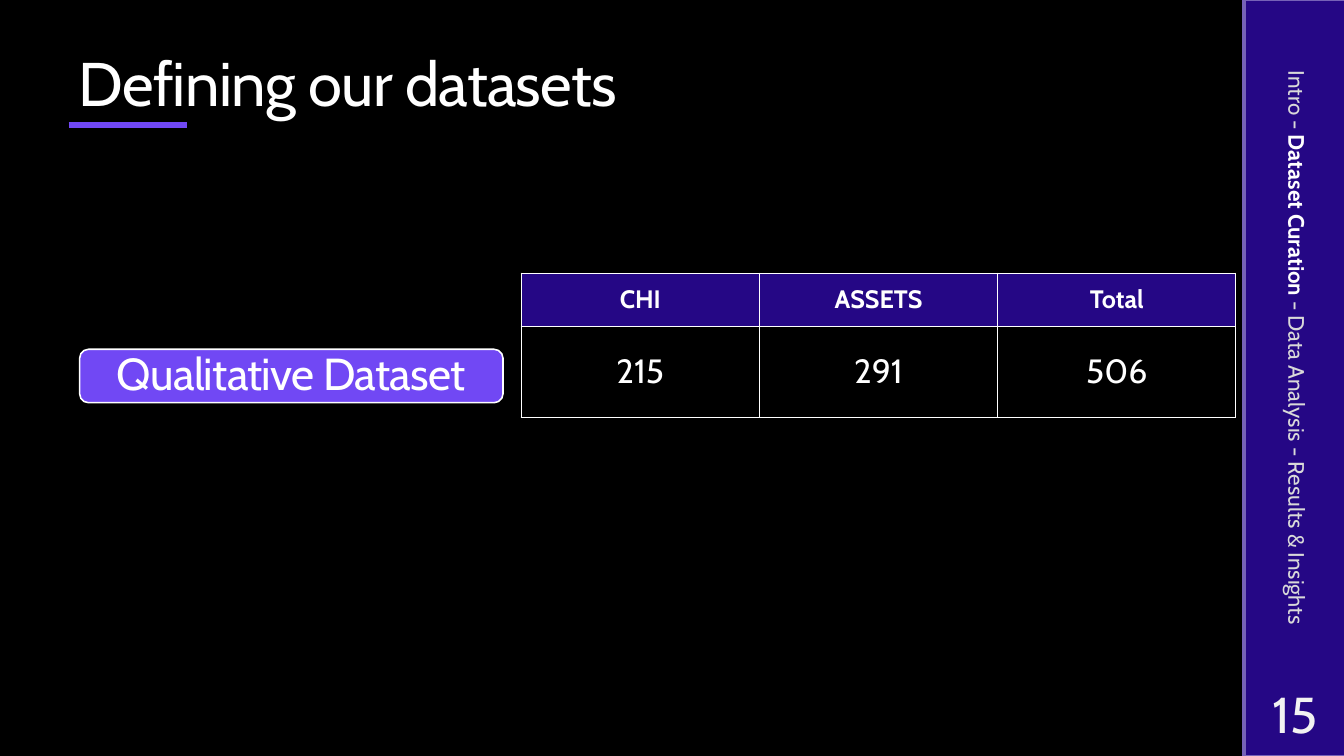
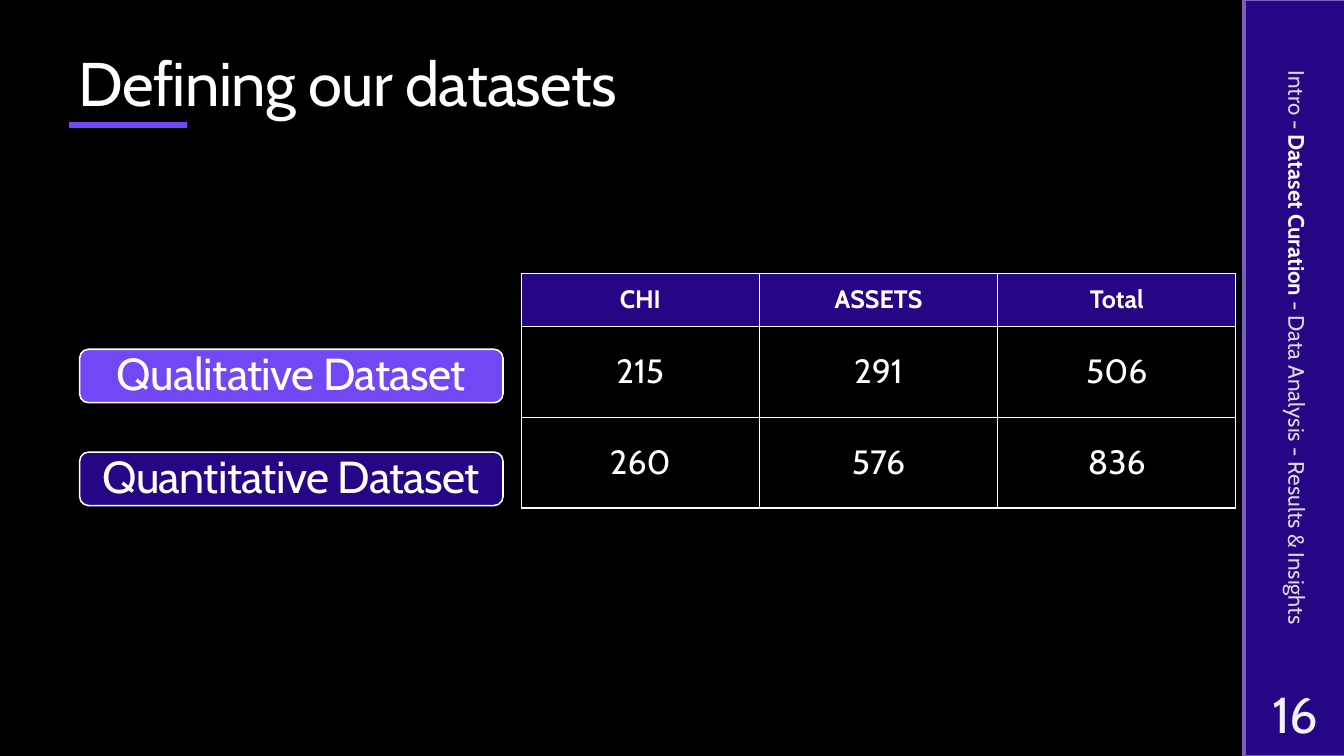
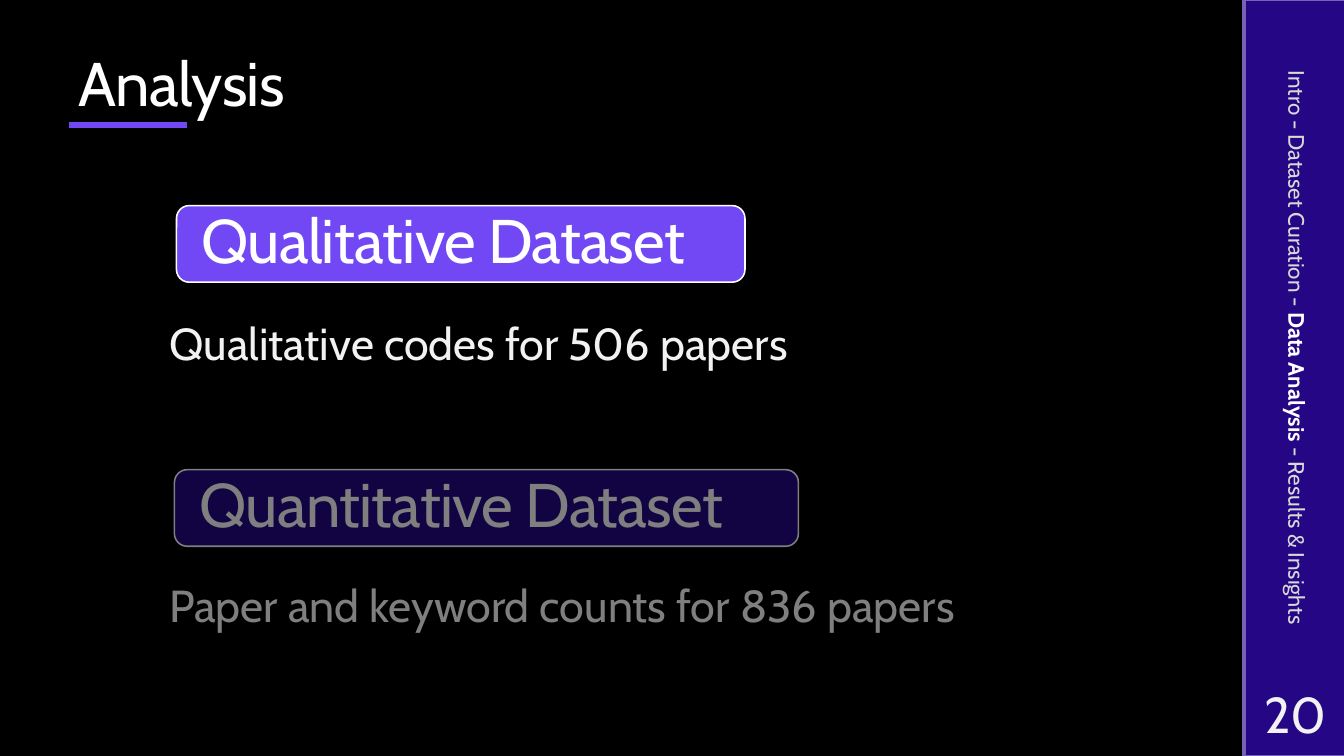
from dataclasses import dataclass

from lxml import etree
from pptx import Presentation
from pptx.dml.color import RGBColor
from pptx.enum.shapes import MSO_CONNECTOR, MSO_SHAPE
from pptx.enum.text import MSO_ANCHOR, MSO_AUTO_SIZE, PP_ALIGN
from pptx.oxml.ns import qn
from pptx.util import Inches, Pt

RECT = MSO_SHAPE.RECTANGLE
ROUND = MSO_SHAPE.ROUNDED_RECTANGLE
STRAIGHT = MSO_CONNECTOR.STRAIGHT
LEFT, CENTER = PP_ALIGN.LEFT, PP_ALIGN.CENTER
MIDDLE, BOTTOM = MSO_ANCHOR.MIDDLE, MSO_ANCHOR.BOTTOM
NO_FIT = MSO_AUTO_SIZE.NONE

WIDE, HIGH = Inches(13.333), Inches(7.5)


@dataclass(frozen=True)
class Theme:
    font: str = "Cabin"
    black: str = "000000"
    white: str = "FFFFFF"
    pale: str = "F2F2F2"
    gray: str = "D9D9D9"
    violet: str = "7148F4"
    navy: str = "250785"
    edge: str = "7662B7"
    title: int = 44
    number: int = 36
    body: int = 32
    cell: int = 24
    head: int = 18
    trail: int = 16
    hair: float = 1.1
    rule: float = 4.5


T = Theme()
PARTS = ["Intro", "Dataset Curation", "Data Analysis", "Results & Insights"]
HEADS = ["CHI", "ASSETS", "Total"]
QUAL = ("Qualitative Dataset", T.violet, [215, 291, 506])
QUANT = ("Quantitative Dataset", T.navy, [260, 576, 836])


def rgb(code):
    return RGBColor.from_string(code)


def across(share):
    return int(WIDE * share / 100)


def down(share):
    return int(HIGH * share / 100)


def area(x, y, w, h):
    return across(x), down(y), across(w), down(h)


def write(frame, runs, size=T.body, color=T.white, bold=False, align=LEFT,
          anchor=MIDDLE, pads=None, lead=None, track=None):
    frame.word_wrap = True
    frame.vertical_anchor = anchor
    if pads:
        frame.margin_left, frame.margin_right = map(Inches, pads)
        frame.margin_top = frame.margin_bottom = 0
    para = frame.paragraphs[0]
    para.alignment = align
    if lead:
        para.line_spacing = lead
    if isinstance(runs, str):
        runs = [(runs, color, bold)]
    for text, shade, heavy in runs:
        run = para.add_run()
        run.text = text
        run.font.name = T.font
        run.font.size = Pt(size)
        run.font.bold = heavy
        run.font.color.rgb = rgb(shade)
        if track:
            run._r.get_or_add_rPr().set("spc", str(int(track * 100)))


def panel(slide, kind, box, fill, line=None, alpha=None):
    shape = slide.shapes.add_shape(kind, *area(*box))
    shape.shadow.inherit = False
    shape.fill.solid()
    shape.fill.fore_color.rgb = rgb(fill)
    if alpha:
        tint = shape._element.spPr.find(".//" + qn("a:srgbClr"))
        etree.SubElement(tint, qn("a:alpha"), val=str(alpha * 1000))
    if line:
        shape.line.color.rgb = rgb(line)
        shape.line.width = Pt(T.hair)
    else:
        shape.line.fill.background()
    return shape


def label(slide, box, text, **style):
    shape = slide.shapes.add_textbox(*area(*box))
    write(shape.text_frame, text, **style)
    return shape


def pill(slide, box, text, fill, **style):
    shape = panel(slide, ROUND, box, fill, T.white)
    write(shape.text_frame, text, lead=0.9, track=-0.5, **style)


def trail(active):
    spot = PARTS.index(active)
    before = "".join(part + " - " for part in PARTS[:spot])
    after = "".join("- " + part + " " for part in PARTS[spot + 1:]).strip()
    return [(before, T.gray, False), (active + " ", T.white, True),
            (after, T.gray, False)]


def rule(slide):
    line = slide.shapes.add_connector(
        STRAIGHT, across(5.1), down(16.53), across(13.95), down(16.53))
    line.line.color.rgb = rgb(T.violet)
    line.line.width = Pt(T.rule)
    etree.SubElement(line._element.spPr, qn("a:effectLst"))


def base(deck, title, active, number):
    slide = deck.slides.add_slide(deck.slide_layouts[5])
    for x in (92.5, 92.63):
        panel(slide, RECT, (x, 0, 7.5, 100), T.navy, T.edge)
    rule(slide)
    label(slide, (92.63, 90, 7.5, 8.67), str(number), size=T.number,
          color=T.pale, align=CENTER, pads=(0.05, 0.05))
    side = label(slide, (73.05, 43.07, 46.95, 5.87), trail(active),
                 size=T.trail, align=CENTER)
    side.rotation = 90
    head = slide.shapes.title
    head.left, head.top, head.width, head.height = area(5.1, 4.27, 79.5, 12.27)
    head.text_frame.auto_size = NO_FIT
    write(head.text_frame, title, size=T.title, anchor=BOTTOM, lead=0.9,
          track=-0.5)
    return slide


def border(cell):
    props = cell._tc.get_or_add_tcPr()
    for spot, side in enumerate(("lnL", "lnR", "lnT", "lnB")):
        line = etree.Element(qn("a:" + side), w=str(Pt(1)))
        fill = etree.SubElement(line, qn("a:solidFill"))
        etree.SubElement(fill, qn("a:srgbClr"), val=T.white)
        props.insert(spot, line)


def table(slide, x, y, w, rows):
    highs = [7.07] + [12] * (len(rows) - 1)
    grid = slide.shapes.add_table(
        len(rows), len(rows[0]), *area(x, y, w, sum(highs))).table
    grid.first_row = grid.horz_banding = False
    for r, (row, high) in enumerate(zip(rows, highs)):
        grid.rows[r].height = down(high)
        top = r == 0
        for c, value in enumerate(row):
            cell = grid.cell(r, c)
            if top:
                cell.fill.solid()
                cell.fill.fore_color.rgb = rgb(T.navy)
            else:
                cell.fill.background()
            border(cell)
            cell.vertical_anchor = MIDDLE
            write(cell.text_frame, str(value), bold=top, align=CENTER,
                  size=T.head if top else T.cell)


def counts(deck, number, sets):
    slide = base(deck, "Defining our datasets", "Dataset Curation", number)
    table(slide, 38.78, 36.13, 53.18, [HEADS] + [row for _, _, row in sets])
    for i, (name, fill, _) in enumerate(sets):
        pill(slide, (5.93, 46.2 + 13.6 * i, 31.5, 7.07), name, fill,
             align=CENTER, pads=(0.16, 0.16))


def study(deck, number):
    slide = base(deck, "Analysis", "Data Analysis", number)
    items = [
        (QUAL, 13.13, 27.2, 42.3, "Qualitative codes for 506 papers", 38, T.pale),
        (QUANT, 12.98, 62.13, 46.43, "Paper and keyword counts for 836 papers",
         72.67, T.white),
    ]
    for (name, fill, _), x, y, w, note, low, color in items:
        pill(slide, (x, y, w, 10.13), name, fill, size=T.title,
             pads=(0.21, 0.21))
        label(slide, (10.35, low, 70.5, 15.47), note, color=color, lead=0.9,
              pads=(0.3, 0.25))
    panel(slide, RECT, (10.58, 58.4, 70.28, 27.07), T.black, alpha=50)


def main():
    deck = Presentation()
    deck.slide_width, deck.slide_height = WIDE, HIGH
    back = deck.slide_master.background.fill
    back.solid()
    back.fore_color.rgb = rgb(T.black)
    counts(deck, 15, [QUAL])
    counts(deck, 16, [QUAL, QUANT])
    study(deck, 20)
    deck.save("out.pptx")


if __name__ == "__main__":
    main()
